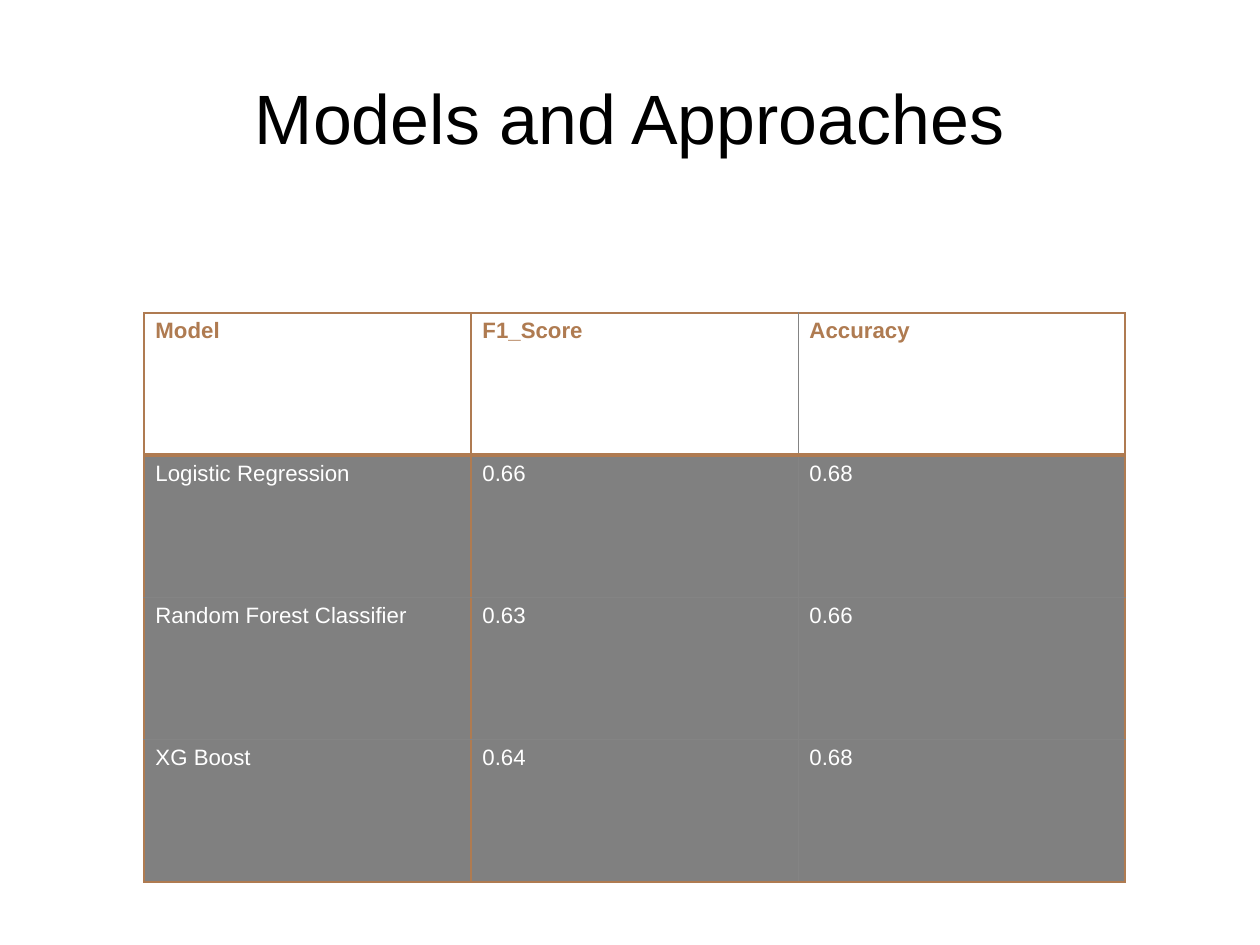
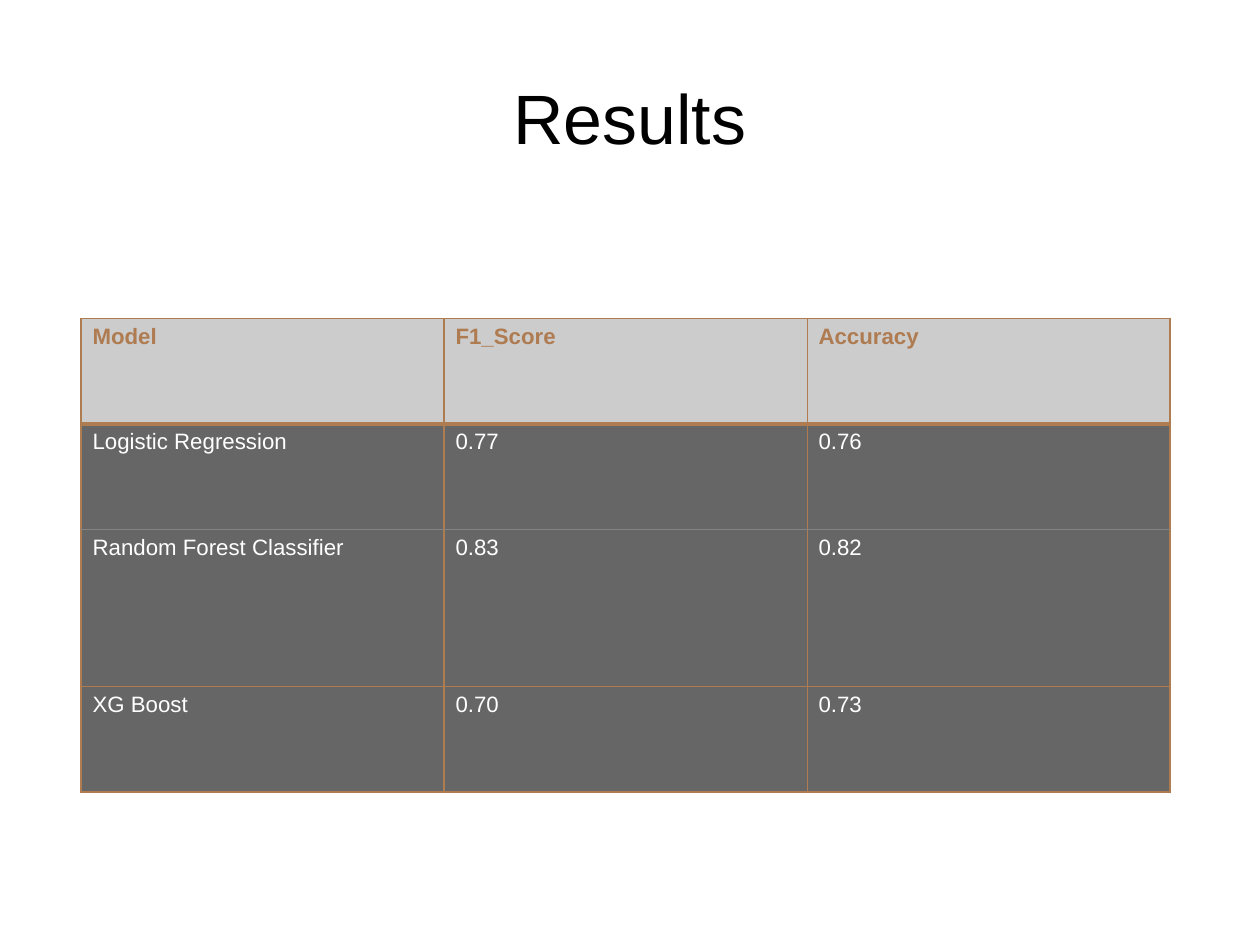
from dataclasses import dataclass

from lxml.etree import SubElement
from pptx import Presentation
from pptx.dml.color import RGBColor
from pptx.enum.text import MSO_ANCHOR, MSO_AUTO_SIZE, PP_ALIGN
from pptx.oxml.ns import qn
from pptx.util import Pt


@dataclass(frozen=True)
class Theme:
    font: str = "Arial"
    title_size: float = 44
    cell_size: float = 14
    title: str = "000000"
    accent: str = "AF7B51"
    body_text: str = "FFFFFF"
    muted: str = "848484"
    hairline: float = 0.5
    rule: float = 0.96
    heavy: float = 3


class Deck:
    TITLE_BOX = 39.7, 23.75, 714.3, 99.3

    def __init__(self, theme, width, height):
        self.theme = theme
        self.prs = Presentation()
        self.prs.slide_width, self.prs.slide_height = Pt(width), Pt(height)
        self.s = None

    def format_runs(self, p, size, color, bold=False):
        for r in p.runs:
            r.font.name, r.font.size, r.font.bold = self.theme.font, Pt(size), bold
            r.font.color.rgb = RGBColor.from_string(color)

    def add_slide(self, title):
        self.s = self.prs.slides.add_slide(self.prs.slide_layouts[5])
        sp = self.s.shapes.title
        sp.left, sp.top, sp.width, sp.height = map(Pt, self.TITLE_BOX)
        tf = sp.text_frame
        tf.text = title
        tf.margin_left = tf.margin_top = tf.margin_right = tf.margin_bottom = 0
        tf.vertical_anchor = MSO_ANCHOR.MIDDLE
        tf.auto_size = MSO_AUTO_SIZE.NONE
        p = tf.paragraphs[0]
        p.alignment = PP_ALIGN.CENTER
        self.format_runs(p, self.theme.title_size, self.theme.title)

    def add_edge(self, cell, side, line):
        color, width = line
        ln = SubElement(cell._tc.get_or_add_tcPr(), qn(f"a:ln{side}"), w=str(Pt(width)))
        fill = SubElement(ln, qn("a:solidFill"))
        SubElement(fill, qn("a:srgbClr"), val=color)

    def add_table(self, left, top, width, heights, rows, fills, v_lines, h_lines):
        """fills: header and body; v_lines and h_lines: every grid line, outer ones too."""
        n = len(rows[0])
        frame = self.s.shapes.add_table(len(rows), n, Pt(left), Pt(top),
                                        Pt(width), Pt(sum(heights)))
        table = frame.table
        for col in table.columns:
            col.width = Pt(width / n)
        for i, (values, height) in enumerate(zip(rows, heights)):
            table.rows[i].height = Pt(height)
            header = i == 0
            color = self.theme.accent if header else self.theme.body_text
            for j, value in enumerate(values):
                cell = table.cell(i, j)
                edges = zip("LRTB", (v_lines[j], v_lines[j + 1], h_lines[i], h_lines[i + 1]))
                for side, line in edges:
                    self.add_edge(cell, side, line)
                cell.fill.solid()
                cell.fill.fore_color.rgb = RGBColor.from_string(fills[0 if header else 1])
                cell.text_frame.text = value
                self.format_runs(cell.text_frame.paragraphs[0], self.theme.cell_size,
                                 color, header)


HEADER = ("Model", "F1_Score", "Accuracy")
MODELS = ("Logistic Regression", "Random Forest Classifier", "XG Boost")


def score_rows(*scores):
    return [HEADER] + [(model, *pair) for model, pair in zip(MODELS, scores)]


def main():
    theme = Theme()
    rule = theme.accent, theme.rule
    thin = theme.accent, theme.hairline
    heavy = theme.accent, theme.heavy
    muted = theme.muted, theme.hairline
    deck = Deck(theme, 793.7, 595.28)

    deck.add_slide("Models and Approaches")
    deck.add_table(90.7, 197.2, 618, [89.6] * 4,
                   score_rows(("0.66", "0.68"), ("0.63", "0.66"), ("0.64", "0.68")),
                   fills=("FFFFFF", "808080"),
                   v_lines=(rule, rule, muted, rule),
                   h_lines=(rule, heavy, muted, muted, rule))

    deck.add_slide("Results")
    deck.add_table(51.1, 200.7, 686, [66.4, 66.4, 98.8, 66.6],
                   score_rows(("0.77", "0.76"), ("0.83", "0.82"), ("0.70", "0.73")),
                   fills=("CCCCCC", "666666"),
                   v_lines=(rule, rule, thin, rule),
                   h_lines=(rule, heavy, muted, thin, rule))

    deck.prs.save("out.pptx")


if __name__ == "__main__":
    main()
